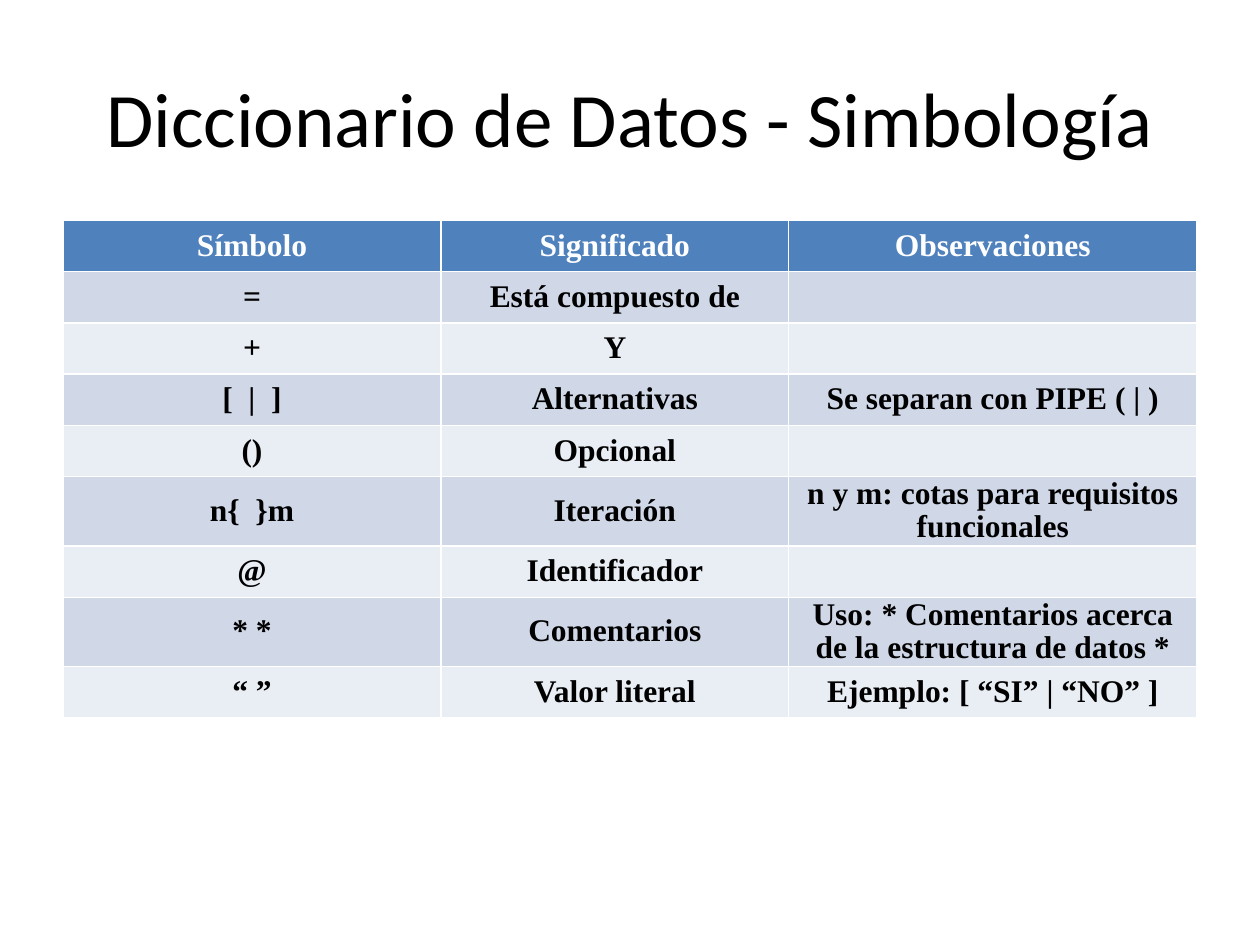
"""Build the data dictionary symbols slide."""
from pptx import Presentation
from pptx.dml.color import RGBColor
from pptx.enum.text import MSO_ANCHOR as Anchor, PP_ALIGN as Align
from pptx.util import Pt

BLACK = RGBColor(0x00, 0x00, 0x00)
WHITE = RGBColor(0xFF, 0xFF, 0xFF)
HEADER_BLUE = RGBColor(0x4F, 0x81, 0xBD)
BANDS = [RGBColor(0xE9, 0xED, 0xF4), RGBColor(0xD0, 0xD8, 0xE8)]

ENTRIES = [
    ("Símbolo", "Significado", "Observaciones"),
    ("=", "Está compuesto de", ""),
    ("+", "Y", ""),
    ("[  |  ]", "Alternativas", "Se separan con PIPE ( | )"),
    ("()", "Opcional", ""),
    ("n{  }m", "Iteración", "n y m: cotas para requisitos funcionales"),
    ("@", "Identificador", ""),
    ("* *", "Comentarios",
     "Uso: * Comentarios acerca de la estructura de datos *"),
    ("“ ”", "Valor literal", "Ejemplo: [ “SI” | “NO” ]"),
]
COLUMN_WIDTHS = [216, 198.72, 233.28]
ROW_HEIGHT, TWO_LINE_HEIGHT = 29.3, 39.6
TWO_LINE_ROWS = {5, 7}


def write(frame, text, font, size, color=BLACK, bold=False, spacing=1.0):
    paragraph = frame.paragraphs[0]
    paragraph.alignment = Align.CENTER
    paragraph.line_spacing = spacing
    paragraph.font.size = Pt(size)
    if text:
        run = paragraph.add_run()
        run.text = text
        run.font.name = font
        run.font.size = Pt(size)
        run.font.bold = bold
        run.font.color.rgb = color


deck = Presentation()
deck.slide_width, deck.slide_height = Pt(720), Pt(540)
slide = deck.slides.add_slide(deck.slide_layouts[5])

heading = slide.shapes.title
heading.left, heading.top = Pt(36), Pt(21.6)
heading.width, heading.height = Pt(648), Pt(90)
heading.text_frame.vertical_anchor = Anchor.MIDDLE
write(heading.text_frame, "Diccionario de Datos - Simbología", "Calibri", 44)

heights = [TWO_LINE_HEIGHT if row in TWO_LINE_ROWS else ROW_HEIGHT
           for row in range(len(ENTRIES))]
symbols = slide.shapes.add_table(
    len(ENTRIES), len(COLUMN_WIDTHS), Pt(36), Pt(126),
    Pt(sum(COLUMN_WIDTHS)), Pt(sum(heights))).table
for column, width in zip(symbols.columns, COLUMN_WIDTHS):
    column.width = Pt(width)

for row, entry in enumerate(ENTRIES):
    symbols.rows[row].height = Pt(heights[row])
    for col, text in enumerate(entry):
        cell = symbols.cell(row, col)
        cell.vertical_anchor = Anchor.MIDDLE
        cell.margin_left = cell.margin_right = Pt(5)
        cell.margin_top = cell.margin_bottom = Pt(0)
        cell.fill.solid()
        cell.fill.fore_color.rgb = BANDS[row % 2] if row else HEADER_BLUE
        write(cell.text_frame, text, "Times New Roman", 18, bold=True,
              color=BLACK if row else WHITE, spacing=0.95)

deck.save("out.pptx")
